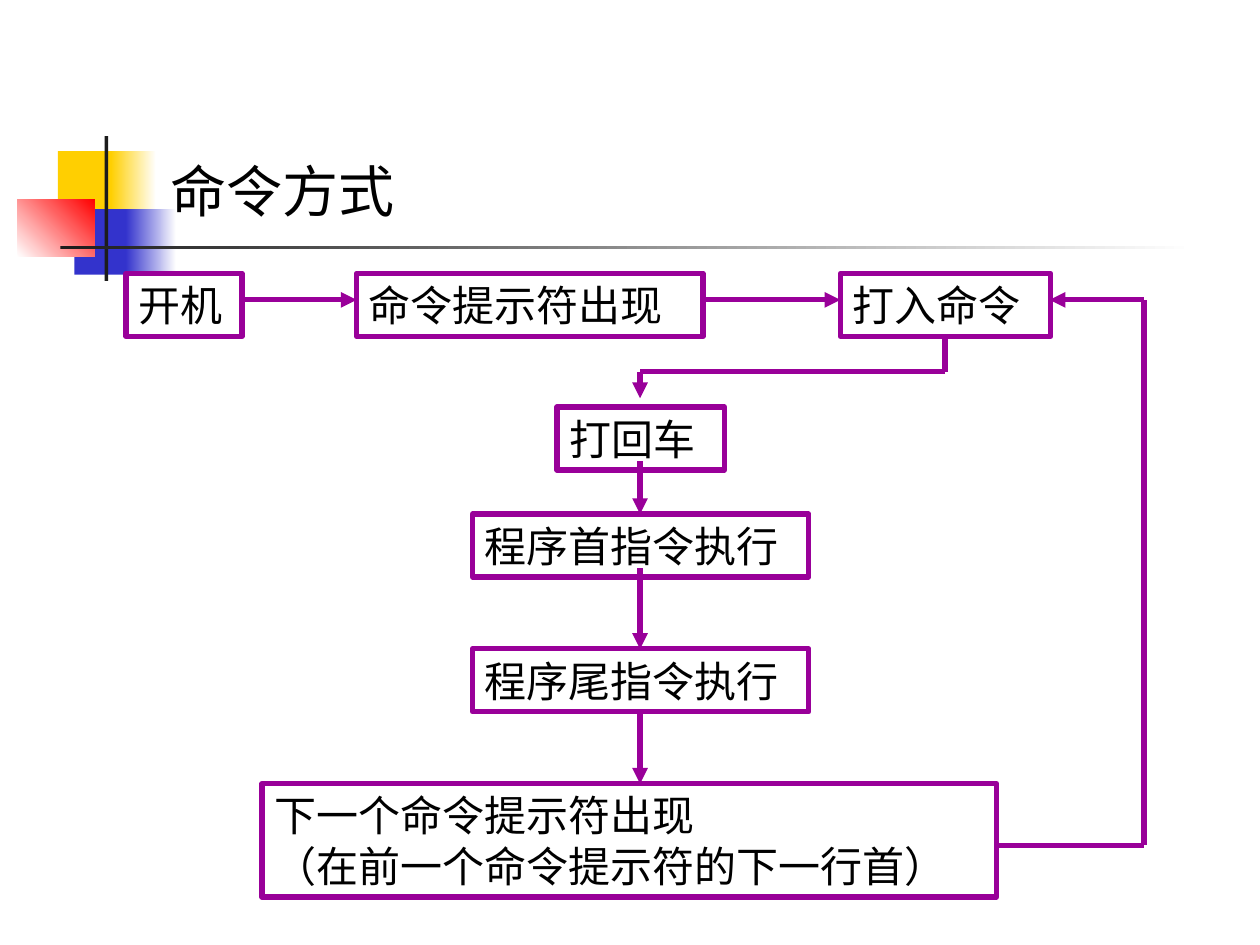
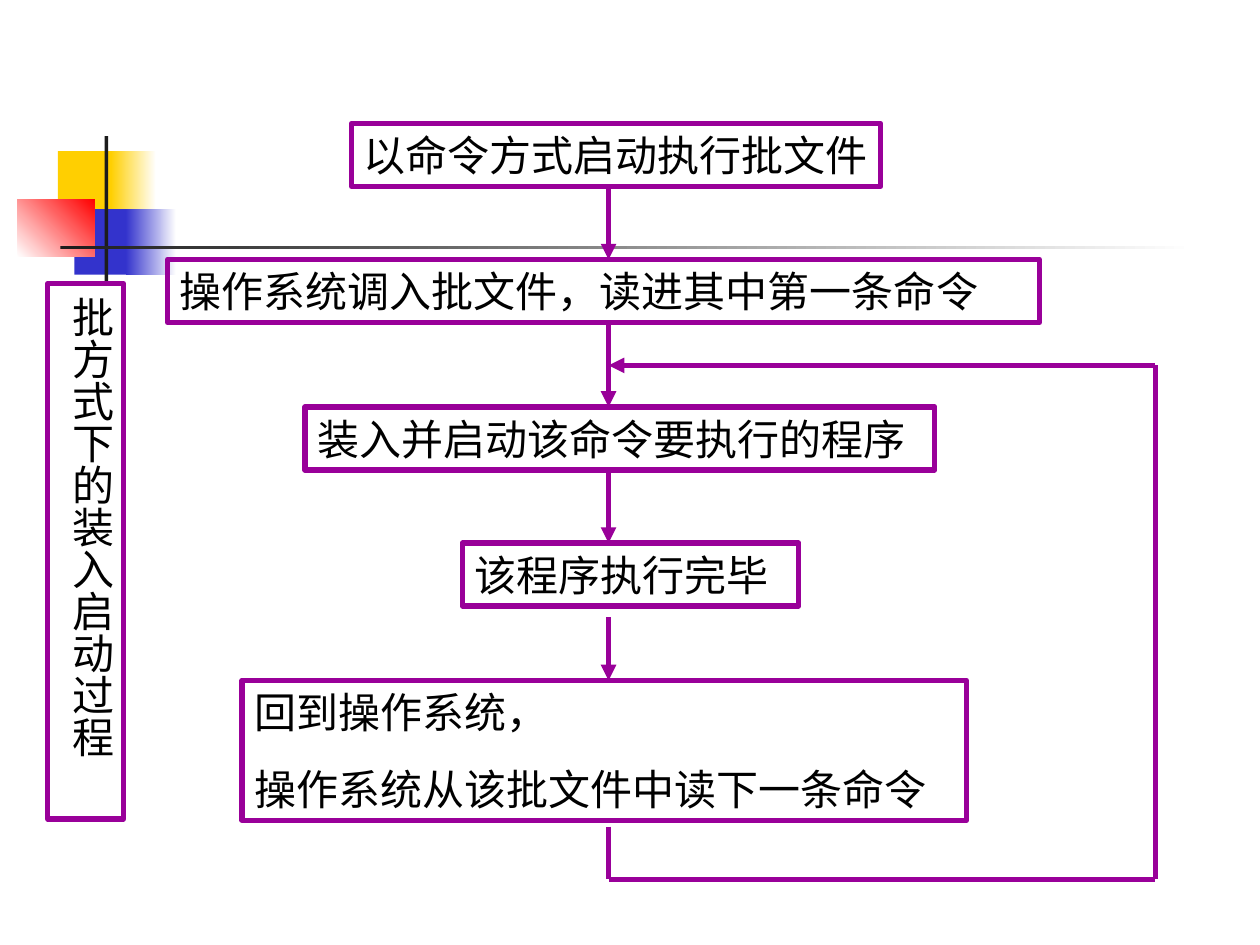
from itertools import pairwise

from lxml.etree import SubElement
from pptx import Presentation
from pptx.dml.color import RGBColor
from pptx.enum.shapes import MSO_CONNECTOR, MSO_SHAPE
from pptx.enum.text import MSO_ANCHOR, MSO_AUTO_SIZE, PP_ALIGN
from pptx.oxml.ns import qn
from pptx.util import Emu, Pt

PX = 9144
HEX = {"ink": "000000", "paper": "FFFFFF", "frame": "990099", "gold": "FFCF01",
       "blue": "3333CC", "red": "FF0000", "bar": "1C1C1C"}
CJK = "Noto Sans CJK SC"
HEAD = {"size": Pt(32), "name": CJK, "bold": False}
BODY = {"size": Pt(24), "name": "Times New Roman", "bold": False}
FRAME = {"word_wrap": True, "auto_size": MSO_AUTO_SIZE.NONE,
         "vertical_anchor": MSO_ANCHOR.TOP}
FLAT = {"margin_left": Emu(10 * PX), "margin_right": Emu(10 * PX),
        "margin_top": Emu(5 * PX), "margin_bottom": Emu(5 * PX)}
TALL = {"margin_left": Emu(5 * PX), "margin_right": Emu(5 * PX),
        "margin_top": Emu(10 * PX), "margin_bottom": Emu(10 * PX)}
DECOR = [
    ((46, 120, 48, 52), ("gold",), 0),
    ((88, 120, 36, 52), ("gold", "paper"), 0),
    ((59, 166, 46, 52), ("blue",), 0),
    ((100, 166, 40, 52), ("blue", "paper"), 0),
    ((14, 158, 61, 46), ("paper", "red"), 45),
    ((83, 108, 3, 115), ("bar",), 0),
    ((48, 195, 900, 3), ("bar", "paper"), 0),
]


def px(*nums):
    """Turn px lengths into EMU."""
    return [Emu(n * PX) for n in nums]


def hue(key):
    """Look up a colour by name."""
    return RGBColor.from_string(HEX[key])


def style(item, form):
    """Set each format value on the item."""
    for key, val in form.items():
        setattr(item, key, val)


def write(frame, text, font, form, gap=0):
    """Fill a text frame, one paragraph a line."""
    style(frame, FRAME | form)
    frame.text = text
    for i, para in enumerate(frame.paragraphs):
        style(para, {"alignment": PP_ALIGN.LEFT, "space_before": Pt(gap if i else 0)})
        for run in para.runs:
            style(run.font, font)
            run.font.color.rgb = hue("ink")
            latin = run.font._element.find(qn("a:latin"))
            east = SubElement(run.font._element, qn("a:ea"), typeface=CJK)
            latin.addnext(east)


def block(slide, area):
    """Add a plain rectangle without shadow."""
    shape = slide.shapes.add_shape(MSO_SHAPE.RECTANGLE, *px(*area))
    shape.shadow.inherit = False
    return shape


def decor(slide):
    """Draw the coloured squares and the cross bars."""
    for area, keys, turn in DECOR:
        shape = block(slide, area)
        shape.line.fill.background()
        if len(keys) == 1:
            shape.fill.solid()
            shape.fill.fore_color.rgb = hue(keys[0])
            continue
        shape.fill.gradient()
        shape.fill.gradient_angle = turn
        for stop, key in zip(shape.fill.gradient_stops, keys):
            stop.color.rgb = hue(key)


def step(slide, area, text, form=FLAT, gap=0):
    """Add a framed step of the flow."""
    shape = block(slide, area)
    shape.fill.background()
    shape.line.width = Pt(3)
    shape.line.color.rgb = hue("frame")
    write(shape.text_frame, text, BODY, form, gap)
    return shape


def route(slide, *stops, arrow=True):
    """Join the stops by straight lines, with a head on the last."""
    for start, end in pairwise(stops):
        line = slide.shapes.add_connector(MSO_CONNECTOR.STRAIGHT, *px(*start, *end))
        line.line.width = Pt(3)
        line.line.color.rgb = hue("frame")
        props = line._element.spPr
        if arrow and end == stops[-1]:
            SubElement(props.find(qn("a:ln")), qn("a:tailEnd"), type="triangle")
        SubElement(props, qn("a:effectLst"))


def label(slide, area, text):
    """Add a framed label that runs downwards."""
    shape = step(slide, area, text, TALL)
    shape.text_frame._txBody.bodyPr.set("vert", "eaVert")
    shape.text_frame.paragraphs[0].alignment = PP_ALIGN.CENTER


def title(slide, text):
    """Move and fill the title placeholder."""
    head = slide.shapes.title
    style(head, dict(zip(("left", "top", "width", "height"), px(125, 125, 875, 62))))
    write(head.text_frame, text, HEAD, FLAT)
    head.text_frame.paragraphs[0].line_spacing = 0.9


def command(deck):
    """Build the slide on the command mode."""
    slide = deck.slides.add_slide(deck.slide_layouts[5])
    decor(slide)
    title(slide, "命令方式")
    for left, top, wide, text in [
        (100, 217, 92, "开机"),
        (283, 217, 275, "命令提示符出现"),
        (667, 217, 167, "打入命令"),
        (442, 323, 133, "打回车"),
        (375, 408, 267, "程序首指令执行"),
        (375, 515, 267, "程序尾指令执行"),
    ]:
        step(slide, (left, top, wide, 50), text)
    step(slide, (208, 622, 583, 90),
         "下一个命令提示符出现\n（在前一个命令提示符的下一行首）")
    for start, end in [(192, 283), (558, 667)]:
        route(slide, (start, 238), (end, 238))
    route(slide, (750, 266), (750, 295), (508, 295), (508, 316))
    for start, end in [(366, 408), (451, 515), (565, 622)]:
        route(slide, (508, start), (508, end))
    route(slide, (792, 671), (908, 671), (908, 238), (833, 238))


def batch(deck):
    """Build the slide on the batch mode."""
    slide = deck.slides.add_slide(deck.slide_layouts[6])
    decor(slide)
    step(slide, (279, 98, 420, 50), "以命令方式启动执行批文件", FLAT | {"word_wrap": False})
    for left, top, wide, text in [
        (133, 206, 692, "操作系统调入批文件，读进其中第一条命令"),
        (242, 323, 500, "装入并启动该命令要执行的程序"),
        (367, 431, 267, "该程序执行完毕"),
    ]:
        step(slide, (left, top, wide, 50), text)
    step(slide, (192, 540, 575, 111),
         "回到操作系统，\n操作系统从该批文件中读下一条命令", gap=15)
    label(slide, (38, 225, 60, 425), "批方式下的装入启动过程")
    for start, end in [(148, 206), (256, 323), (373, 431), (490, 540)]:
        route(slide, (483, start), (483, end))
    route(slide, (483, 656), (483, 698), (917, 698), (917, 290), (483, 290))


def main():
    """Build and save the deck."""
    deck = Presentation()
    deck.slide_width, deck.slide_height = px(1000, 750)
    command(deck)
    batch(deck)
    deck.save("out.pptx")


if __name__ == "__main__":
    main()
